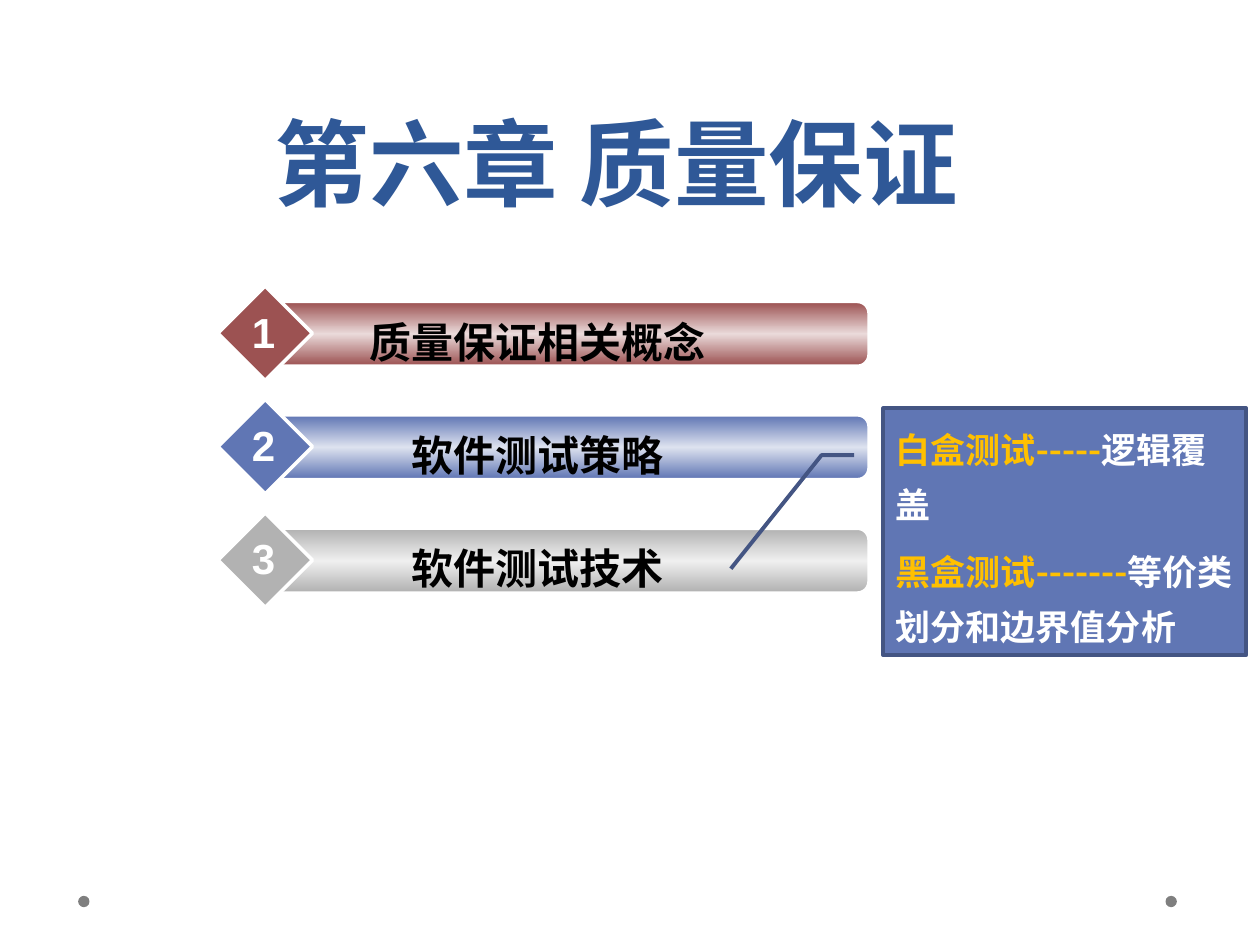
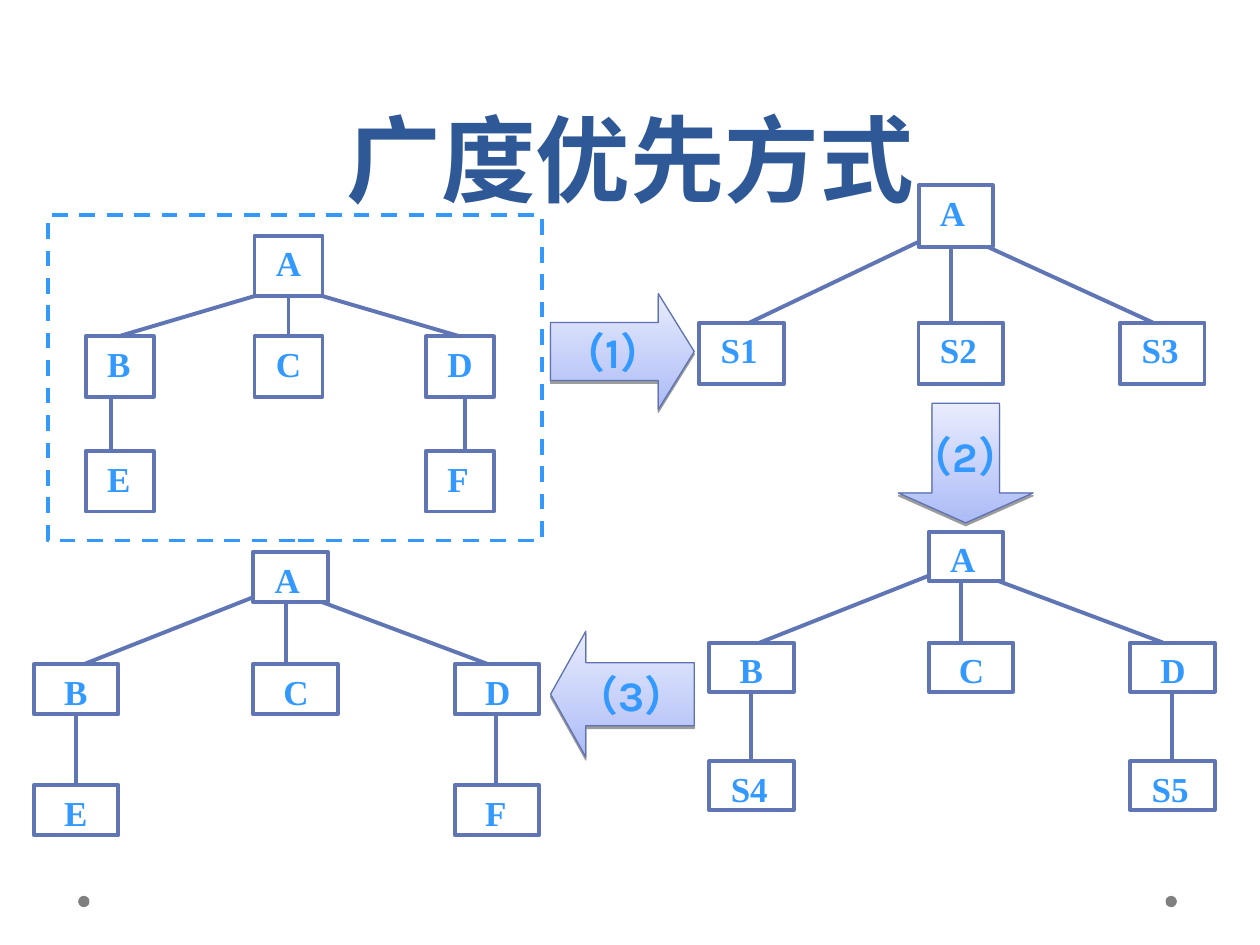
"""Builds two slides on quality assurance: a chapter agenda and breadth-first integration."""
from copy import deepcopy
from dataclasses import dataclass

from lxml.etree import SubElement
from pptx import Presentation
from pptx.dml.color import RGBColor
from pptx.enum.dml import MSO_LINE
from pptx.enum.shapes import MSO_CONNECTOR, MSO_SHAPE as Preset
from pptx.enum.text import MSO_ANCHOR as Anchor, MSO_AUTO_SIZE as AutoSize, PP_ALIGN as Align
from pptx.oxml.ns import qn
from pptx.util import Inches, Pt


@dataclass(frozen=True)
class Theme:
    """Colours, fonts and type sizes shared by the slides."""
    title: str = "2F5897"
    blue: str = "6076B4"
    dark_blue: str = "445583"
    red: str = "9C5252"
    gray: str = "B2B2B2"
    dot: str = "7F7F7F"
    sky: str = "3399FF"
    gold: str = "FFC000"
    white: str = "FFFFFF"
    black: str = "000000"
    arrow_line: str = "5C72B2"
    arrow_stops: tuple = ("ACBBF6", "E8ECFD")
    sans: str = "Karla"
    serif: str = "Times New Roman"
    number: str = "Arial"
    title_size: int = 54
    label_size: int = 24
    node_size: int = 20
    line: float = 2.25


@dataclass(frozen=True)
class TreeLayout:
    """Horizontal offsets of a tree's nodes and links from its left edge."""
    columns: tuple
    root_width: float
    node_width: float
    exits: tuple
    arrivals: tuple
    leaf_links: tuple
    left_exit_rise: float
    letter_inset: float


THEME = Theme()
WIDE_TREE = TreeLayout((0, 1.74, 3.34), 0.59, 0.67, (1.74, 2, 2.29),
                       (0.4, 2, 3.6), (0.33, 3.67), 0.04, 0.24)
NARROW_TREE = TreeLayout((0, 1.34, 2.7), 0.54, 0.54, (1.34, 1.61, 1.88),
                         (0.26, 1.61, 2.97), (0.2, 3.01), 0, 0.17)
ROOT_INSET = 0.17


def color(value):
    """Return an RGB colour from its hex string."""
    return RGBColor.from_string(value)


def inches(*lengths):
    """Convert several lengths to inches."""
    return [Inches(length) for length in lengths]


def style_font(font, name, size, value):
    """Apply a bold typeface, size and colour."""
    font.name, font.size, font.bold = name, Pt(size), True
    font.color.rgb = color(value)


def add_preset(shapes, preset, box, fill=None, line=None, width=THEME.line):
    """Add a shadowless preset shape with the given fill and outline."""
    shape = shapes.add_shape(preset, *inches(*box))
    shape.shadow.inherit = False
    if fill:
        shape.fill.solid()
        shape.fill.fore_color.rgb = color(fill)
    else:
        shape.fill.background()
    if line:
        shape.line.color.rgb = color(line)
        shape.line.width = Pt(width)
    else:
        shape.line.fill.background()
    return shape


def set_gradient(shape, stops):
    """Fill a shape from bottom to top with evenly spaced colours."""
    shape.fill.gradient()
    shape.fill.gradient_angle = 90
    stop_list = shape.element.spPr.find(qn("a:gradFill")).find(qn("a:gsLst"))
    while len(stop_list) < len(stops):
        stop_list.append(deepcopy(stop_list[0]))
    for index, (stop, value) in enumerate(zip(shape.fill.gradient_stops, stops)):
        stop.position = index / (len(stops) - 1)
        stop.color.rgb = color(value)


def add_shadow(shape):
    """Give a shape a thin, sharp shadow below it."""
    effects = shape.element.spPr.find(qn("a:effectLst"))
    shadow = SubElement(effects, qn("a:outerShdw"), blurRad="0", dist=str(Pt(1.6)),
                        dir="5400000", rotWithShape="0")
    shade = SubElement(shadow, qn("a:srgbClr"), val=THEME.black)
    SubElement(shade, qn("a:alpha"), val="38000")


def add_link(shapes, start, end):
    """Draw a straight link between two points."""
    link = shapes.add_connector(MSO_CONNECTOR.STRAIGHT, *inches(*start, *end))
    link.line.color.rgb = color(THEME.blue)
    link.line.width = Pt(THEME.line)
    SubElement(link.element.spPr, qn("a:effectLst"))


def write(shape, text, font, size, value, align=Align.CENTER, wrap=True):
    """Write one formatted paragraph into a shape."""
    frame = shape.text_frame
    frame.word_wrap = wrap
    paragraph = frame.paragraphs[0]
    paragraph.text = text
    paragraph.alignment = align
    style_font(paragraph.font, font, size, value)


def add_label(shapes, box, text, font, value, wrap=True):
    """Add a centred text box that grows with its text."""
    label = shapes.add_textbox(*inches(*box))
    write(label, text, font, THEME.label_size, value, wrap=wrap)
    label.text_frame.auto_size = AutoSize.SHAPE_TO_FIT_TEXT


def new_slide(presentation, title, left, top):
    """Add a slide with the shared title style and footer dots."""
    slide = presentation.slides.add_slide(presentation.slide_layouts[5])
    for dot_left in (0.62, 9.25):
        add_preset(slide.shapes, Preset.OVAL, (dot_left, 7.11, 0.09, 0.09), THEME.dot)
    holder = slide.shapes.title
    holder.left, holder.top, holder.width, holder.height = inches(left, top, 9, 1.75)
    write(holder, title, THEME.sans, THEME.title_size, THEME.title)
    holder.text_frame.auto_size = AutoSize.NONE
    holder.text_frame.vertical_anchor = Anchor.BOTTOM
    holder.text_frame.paragraphs[0].line_spacing = Pt(58)
    return slide


def add_agenda_row(slide, left, top, number, text, base, light):
    """Add a numbered diamond in front of a shaded bar."""
    shapes = slide.shapes.add_group_shape().shapes
    bar = add_preset(shapes, Preset.ROUNDED_RECTANGLE, (left + 0.41, top + 0.13, 4.75, 0.5),
                     base, THEME.white, 1)
    bar.adjustments[0] = 0.17
    set_gradient(bar, (base, light, base))
    add_preset(shapes, Preset.DIAMOND, (left, top, 0.75, 0.75), base, THEME.white, 2)
    add_label(shapes, (left + 0.66, top + 0.19, 3.75, 0.5), text, THEME.serif, THEME.black)
    add_label(shapes, (left + 0.17, top + 0.11, 0.38, 0.5), str(number), THEME.number,
              THEME.white, wrap=False)


def add_callout(slide, box, entries):
    """Add a callout whose entries pair a gold term with a white explanation."""
    callout = add_preset(slide.shapes, Preset.LINE_CALLOUT_2, box, THEME.blue, THEME.dark_blue)
    for index, value in enumerate((0.19, -0.08, 0.19, -0.17, 0.65, -0.42)):
        callout.adjustments[index] = value
    frame = callout.text_frame
    frame.word_wrap = True
    frame.vertical_anchor = Anchor.MIDDLE
    for index, entry in enumerate(entries):
        paragraph = frame.add_paragraph() if index else frame.paragraphs[0]
        paragraph.alignment = Align.LEFT
        paragraph.line_spacing = 1.3
        paragraph.space_before = Pt(7.5)
        for text, value in zip(entry, (THEME.gold, THEME.white)):
            run = paragraph.add_run()
            run.text = text
            style_font(run.font, THEME.sans, THEME.node_size, value)


def add_node(shapes, box, text, inset):
    """Add an outlined tree node."""
    node = add_preset(shapes, Preset.RECTANGLE, box, THEME.white, THEME.blue)
    write(node, text, THEME.serif, THEME.node_size, THEME.sky, Align.LEFT)
    node.text_frame.vertical_anchor = Anchor.TOP
    node.text_frame.margin_left = Inches(inset)
    node.text_frame.margin_right = 0


def add_tree(slide, layout, left, row_tops, height, children, leaves=()):
    """Add a tree with root A, three children and leaves under the outer two."""
    shapes = slide.shapes.add_group_shape().shapes
    root_top, child_top = row_tops[:2]
    add_node(shapes, (left + layout.columns[1], root_top, layout.root_width, height),
             "A", ROOT_INSET)
    rows = [(child_top, zip(layout.columns, children))]
    if leaves:
        rows.append((row_tops[2], zip(layout.columns[::2], leaves)))
    for top, nodes in rows:
        for column, text in nodes:
            inset = layout.letter_inset if len(text) == 1 else ROOT_INSET
            add_node(shapes, (left + column, top, layout.node_width, height), text, inset)
    rises = (layout.left_exit_rise, 0, 0)
    for start, end, rise in zip(layout.exits, layout.arrivals, rises):
        add_link(shapes, (left + start, root_top + height - rise), (left + end, child_top))
    if leaves:
        for offset in layout.leaf_links:
            add_link(shapes, (left + offset, child_top + height), (left + offset, row_tops[2]))


def add_step_arrow(slide, preset, box, head, text):
    """Add a shaded block arrow naming a step."""
    arrow = add_preset(slide.shapes, preset, box, THEME.blue, THEME.arrow_line, 0.75)
    arrow.adjustments[1] = head
    set_gradient(arrow, THEME.arrow_stops)
    add_shadow(arrow)
    write(arrow, text, THEME.sans, THEME.label_size, THEME.sky, wrap=False)
    arrow.text_frame.vertical_anchor = Anchor.MIDDLE


def build_agenda(presentation):
    """Build the chapter agenda."""
    slide = new_slide(presentation, "第六章 质量保证", 0.39, 0.03)
    topics = (("质量保证相关概念", THEME.red, "EADADA"),
              ("软件测试策略", THEME.blue, "DDE2EF"),
              ("软件测试技术", THEME.gray, "EFEFEF"))
    for index, topic in enumerate(topics):
        add_agenda_row(slide, 1.73, 2.27 + 0.9 * index, index + 1, *topic)
    add_callout(slide, (7.01, 3.24, 2.88, 1.96),
                (("白盒测试-----", "逻辑覆盖"),
                 ("黑盒测试-------", "等价类划分和边界值分析")))


def build_breadth_first(presentation):
    """Build the breadth-first sequence of trees."""
    slide = new_slide(presentation, "广度优先方式", 0.5, 0)
    add_tree(slide, WIDE_TREE, 5.55, (1.47, 2.56), 0.49, ("S1", "S2", "S3"))
    add_tree(slide, WIDE_TREE, 5.63, (4.22, 5.1, 6.04), 0.39, "BCD", ("S4", "S5"))
    add_tree(slide, WIDE_TREE, 0.27, (4.38, 5.27, 6.23), 0.4, "BCD", "EF")
    add_step_arrow(slide, Preset.RIGHT_ARROW, (4.37, 2.33, 1.14, 0.92), 0.31, "（1）")
    add_step_arrow(slide, Preset.DOWN_ARROW, (7.13, 3.2, 1.07, 0.95), 0.25, "（2）")
    add_step_arrow(slide, Preset.LEFT_ARROW, (4.37, 5.01, 1.14, 1), 0.28, "（3）")
    add_tree(slide, NARROW_TREE, 0.68, (1.87, 2.67, 3.58), 0.48, "BCD", "EF")
    frame = add_preset(slide.shapes, Preset.RECTANGLE, (0.38, 1.71, 3.92, 2.58),
                       line=THEME.sky)
    frame.line.dash_style = MSO_LINE.DASH


def main():
    """Build and save the presentation."""
    presentation = Presentation()
    presentation.slide_width, presentation.slide_height = inches(10, 7.5)
    build_agenda(presentation)
    build_breadth_first(presentation)
    presentation.save("out.pptx")


if __name__ == "__main__":
    main()
